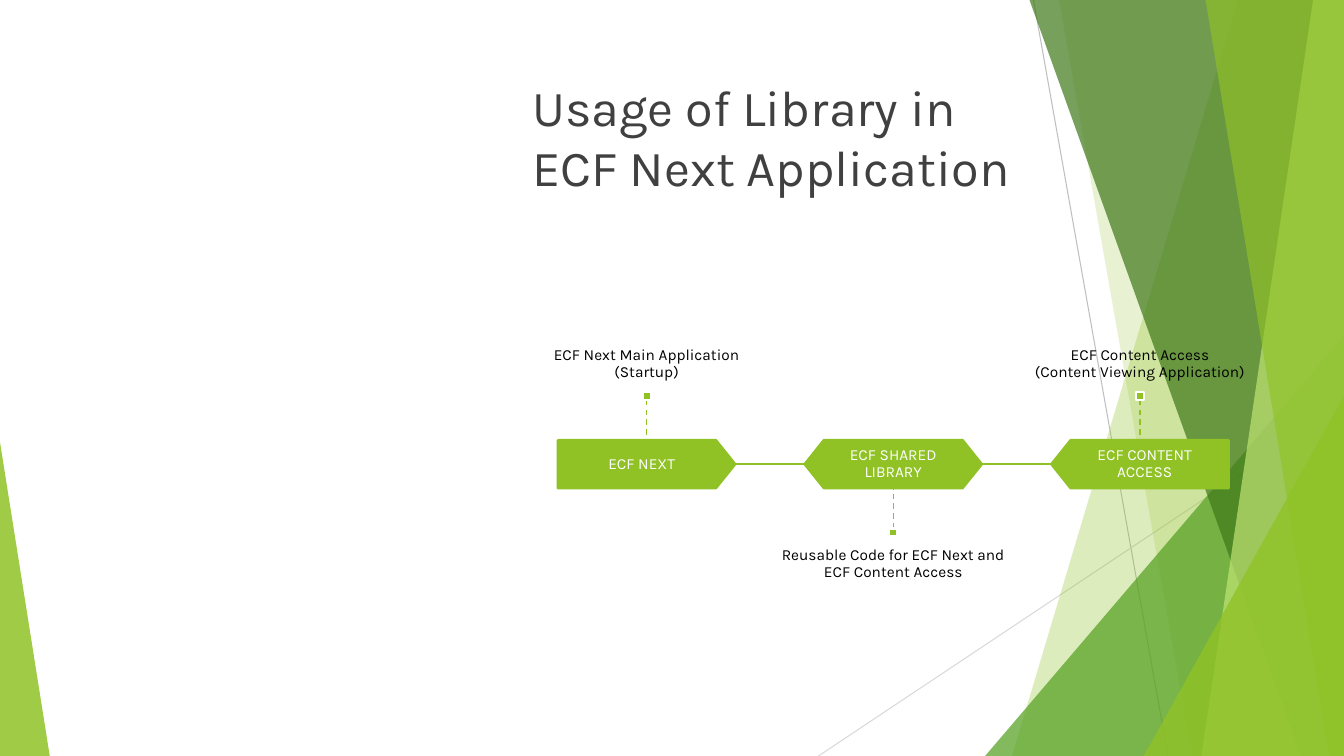
from collections import namedtuple

from lxml import etree
from pptx import Presentation
from pptx.dml.color import RGBColor
from pptx.enum.dml import MSO_LINE
from pptx.enum.shapes import MSO_CONNECTOR, MSO_SHAPE
from pptx.enum.text import MSO_ANCHOR, PP_ALIGN
from pptx.oxml.ns import qn
from pptx.util import Inches, Pt

STRAIGHT = MSO_CONNECTOR.STRAIGHT
PENTAGON, HEXAGON = MSO_SHAPE.PENTAGON, MSO_SHAPE.HEXAGON
TRIANGLE, SQUARE = MSO_SHAPE.ISOSCELES_TRIANGLE, MSO_SHAPE.RECTANGLE
TOP, MIDDLE, BOTTOM = MSO_ANCHOR.TOP, MSO_ANCHOR.MIDDLE, MSO_ANCHOR.BOTTOM
LEFT, CENTER = PP_ALIGN.LEFT, PP_ALIGN.CENTER
DASH = MSO_LINE.DASH

FONT = "Karla"
GREEN, WHITE, BLACK = "90C226", "FFFFFF", "000000"
Box = namedtuple("Box", "left top width height")
PAGE = Box(0, 0, 13.33, 7.5)
TITLE = Box(5.18, 0.7, 7.35, 1.91)
FLOW = Box(5.19, 2.61, 7.34, 3.99)

# Top and bottom x of each panel's slanted edge, as shares of the page width
PANELS = [
    (0.921, 0.753, GREEN, 30),
    (0.788, 0.887, GREEN, 20),
    (0.766, 0.968, "3F7819", 70),
    (0.977, 0.894, "C0E474", 70),
    (0.897, 0.989, GREEN, 65),
]
# Left, top and width as shares of the page, apex side, colour, opacity
TRIANGLES = [
    (0.733, 0.444, 0.267, 1, "54A021", 72),
    (0.851, 0.524, 0.149, 1, GREEN, 80),
    (0, 0.585, 0.037, 0, GREEN, 85),
]
# Label, shape, mirrored, callout, callout above the stage
STAGES = [
    ("ECF NEXT", PENTAGON, False, "ECF Next Main Application\v(Startup)", True),
    ("ECF SHARED\vLIBRARY", HEXAGON, False,
     "Reusable Code for ECF Next and ECF Content Access", False),
    ("ECF CONTENT ACCESS", PENTAGON, True,
     "ECF Content Access\v(Content Viewing Application)", True),
]


def color(value):
    """Turn a hex string into a colour."""
    return RGBColor.from_string(value)


def inches(box):
    """Give the four lengths of a box in slide units."""
    return [Inches(length) for length in box]


def paint(shape, fill, opacity=100, line=None):
    """Set fill, opacity and outline, without a shadow."""
    shape.shadow.inherit = False
    shape.fill.solid()
    shape.fill.fore_color.rgb = color(fill)
    if opacity < 100:
        tone = shape.fill._xPr.find(".//" + qn("a:srgbClr"))
        etree.SubElement(tone, qn("a:alpha"), val=str(opacity * 1000))
    if line:
        shape.line.color.rgb = color(line)
        shape.line.width = Pt(1.5)
    else:
        shape.line.fill.background()


def write(shape, text, size, ink, anchor, align=CENTER, insets=(0.09, 0.09), spacing=0.9):
    """Put formatted text into a shape; insets are horizontal and vertical."""
    frame = shape.text_frame
    frame.text = text
    frame.word_wrap = True
    frame.vertical_anchor = anchor
    frame.margin_left = frame.margin_right = Inches(insets[0])
    frame.margin_top = frame.margin_bottom = Inches(insets[1])
    para = frame.paragraphs[0]
    para.alignment = align
    para.line_spacing = spacing
    for span in para.runs:
        span.font.name = FONT
        span.font.size = Pt(size)
        span.font.color.rgb = color(ink)


def draw_line(slide, start, end, ink, width, dash=None):
    """Draw a straight line between two points."""
    line = slide.shapes.add_connector(STRAIGHT, *inches((*start, *end)))
    line.line.color.rgb = color(ink)
    line.line.width = Pt(width)
    if dash:
        line.line.dash_style = dash
    etree.SubElement(line._element.spPr, qn("a:effectLst"))


def add_backdrop(slide, box):
    """Draw the thin lines, slanted panels and corner triangles."""
    right, bottom = box.left + box.width, box.top + box.height

    def at(across, down):
        return box.left + across * box.width, box.top + down * box.height

    draw_line(slide, at(0.769, 0), at(0.869, 1), "BFBFBF", 0.75)
    draw_line(slide, at(1, 0.537), at(0.609, 1), "D9D9D9", 0.75)

    def add_triangle(across, down, share, apex, fill, opacity):
        left, top = at(across, down)
        place = Box(left, top, share * box.width, bottom - top)
        shape = slide.shapes.add_shape(TRIANGLE, *inches(place))
        shape.adjustments[0] = apex
        paint(shape, fill, opacity)

    def add_panel(upper, lower, fill, opacity):
        corners = [at(upper, 0), (right, box.top), (right, bottom), at(lower, 1)]
        points = [tuple(inches(corner)) for corner in corners]
        builder = slide.shapes.build_freeform(*points[0])
        builder.add_line_segments(points[1:], close=True)
        paint(builder.convert_to_shape(), fill, opacity)

    for panel in PANELS[:2]:
        add_panel(*panel)
    add_triangle(*TRIANGLES[0])
    for panel in PANELS[2:]:
        add_panel(*panel)
    for triangle in TRIANGLES[1:]:
        add_triangle(*triangle)


def add_title(slide, box):
    """Move and format the title placeholder."""
    title = slide.shapes.title
    title.left, title.top, title.width, title.height = inches(box)
    write(title, "Usage of Library in\vECF Next Application", 36, "404040",
          TOP, LEFT, (0.1, 0.05), 1)


def add_callout(slide, box, text, above):
    """Place a note, its square marker and the dashed stem to the stage."""
    center = box.left + box.width / 2
    note_height, marker = box.height * 0.32, 0.08
    bottom = box.top + box.height
    note_top = box.top if above else bottom - note_height
    marker_top = box.top + note_height if above else note_top - marker
    stem_start = marker_top + marker if above else marker_top
    stem_end = box.top + box.height * (0.44 if above else 0.56)
    note = slide.shapes.add_textbox(*inches((box.left, note_top, box.width, note_height)))
    write(note, text, 11, BLACK, BOTTOM if above else TOP, insets=(0, 0.11))
    draw_line(slide, (center, stem_start), (center, stem_end), GREEN, 1, DASH)
    square = slide.shapes.add_shape(
        SQUARE, *inches((center - marker / 2, marker_top, marker, marker)))
    paint(square, GREEN, line=WHITE)


def add_flow(slide, box):
    """Lay out the stages in equal columns, joined by lines."""
    column = box.width / len(STAGES)
    stage_width, stage_height = column * 0.72, box.height * 0.12
    gap = column - stage_width
    middle = box.top + box.height / 2
    for index, (label, kind, mirrored, note, above) in enumerate(STAGES):
        left = box.left + index * column
        stage_left = left + gap / 2
        if index:
            draw_line(slide, (stage_left - gap, middle), (stage_left, middle), GREEN, 1.5)
        stage = slide.shapes.add_shape(kind, *inches(
            (stage_left, middle - stage_height / 2, stage_width, stage_height)))
        stage.adjustments[0] = 0.4
        paint(stage, GREEN, line=GREEN)
        if mirrored:
            stage._element.spPr.xfrm.set("flipH", "1")
        write(stage, label, 11, WHITE, MIDDLE)
        add_callout(slide, Box(left, box.top, column, box.height), note, above)


def main():
    """Build the deck and save it."""
    deck = Presentation()
    deck.slide_width, deck.slide_height = Inches(PAGE.width), Inches(PAGE.height)
    slide = deck.slides.add_slide(deck.slide_layouts[5])
    add_backdrop(slide, PAGE)
    add_title(slide, TITLE)
    add_flow(slide, FLOW)
    deck.save("out.pptx")


main()
